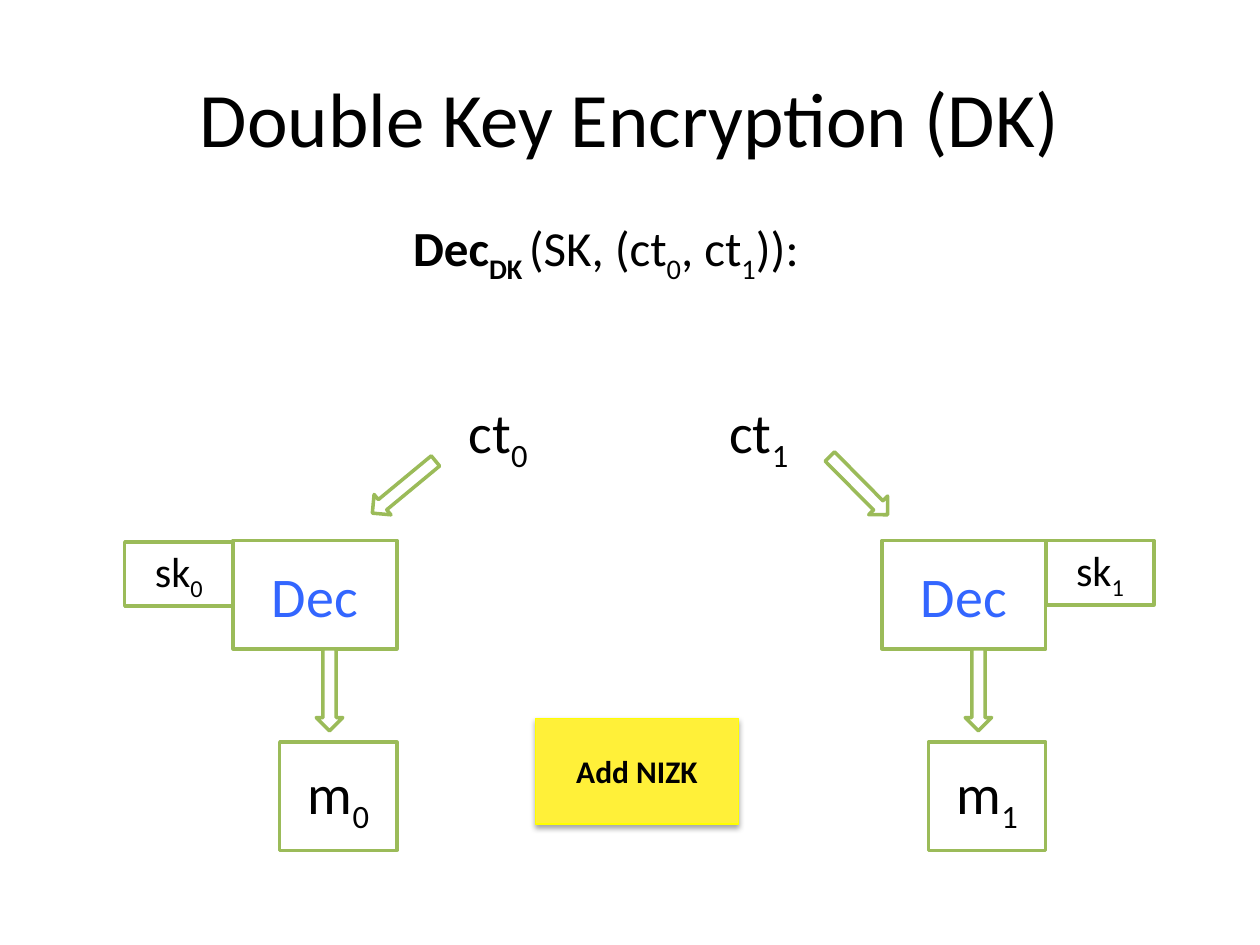
"""Build the Double Key Encryption decryption slide."""
import lxml.etree
import pptx
import pptx.dml.color
import pptx.enum.shapes
import pptx.enum.text
import pptx.oxml
import pptx.oxml.ns
import pptx.util

Inches = pptx.util.Inches
Pt = pptx.util.Pt
RGBColor = pptx.dml.color.RGBColor
MSO_SHAPE = pptx.enum.shapes.MSO_SHAPE
PP_ALIGN = pptx.enum.text.PP_ALIGN
MSO_ANCHOR = pptx.enum.text.MSO_ANCHOR

BLACK = RGBColor(0x00, 0x00, 0x00)
WHITE = RGBColor(0xFF, 0xFF, 0xFF)
GREEN = RGBColor(0x9B, 0xBB, 0x59)
BLUE = RGBColor(0x33, 0x66, 0xFF)
GOLD = RGBColor(0xFF, 0xF0, 0x39)
YELLOW = RGBColor(0xFF, 0xFF, 0x00)


def write(sp, runs, size, color=BLACK, centered=True):
    """Fill a shape with (text, is_subscript, is_bold) runs."""
    tf = sp.text_frame
    tf.word_wrap = centered
    if centered:
        tf.vertical_anchor = MSO_ANCHOR.MIDDLE
    else:
        tf.auto_size = pptx.enum.text.MSO_AUTO_SIZE.SHAPE_TO_FIT_TEXT
    p = tf.paragraphs[0]
    p.alignment = PP_ALIGN.CENTER if centered else PP_ALIGN.LEFT
    p.font.name = "Calibri"
    p.font.size = Pt(size)
    p.font.color.rgb = color
    for text, subscript, bold in runs:
        r = p.add_run()
        r.text = text
        r.font.bold = bold
        if subscript:
            r.font._element.set("baseline", "-25000")


def add_shape(kind, box, fill=WHITE, line=GREEN, width=2, rotation=0):
    """Add a filled, outlined shape without a shadow."""
    sp = s.shapes.add_shape(kind, *map(Inches, box))
    sp.shadow.inherit = False
    sp.fill.solid()
    sp.fill.fore_color.rgb = fill
    sp.line.color.rgb = line
    sp.line.width = Pt(width)
    sp.rotation = rotation
    return sp


prs = pptx.Presentation()
prs.slide_width = Inches(10)
prs.slide_height = Inches(7.5)
s = prs.slides.add_slide(prs.slide_layouts[6])

title = s.shapes.add_textbox(Inches(0.5), Inches(0.3), Inches(9), Inches(1.25))
write(title, [("Double Key Encryption (DK)", False, False)], 44)

heading = s.shapes.add_textbox(Inches(3.18), Inches(1.68), Inches(3.38), Inches(0.57))
write(heading, [
    ("Dec", False, True), ("DK ", True, True), ("(SK, (ct", False, False),
    ("0", True, False), (", ct", False, False), ("1", True, False),
    (")):", False, False),
], 28, centered=False)

note = add_shape(MSO_SHAPE.RECTANGLE, (4.25, 5.7, 1.61, 0.84), GOLD, YELLOW, 0.75)
write(note, [("Add NIZK", False, True)], 18)
effects = note._element.spPr.find(pptx.oxml.ns.qn("a:effectLst"))
shadow = lxml.etree.SubElement(
    effects, pptx.oxml.ns.qn("a:outerShdw"), blurRad=str(Pt(3.1)),
    dist=str(Pt(1.8)), dir="5400000", rotWithShape="0")
shade = lxml.etree.SubElement(shadow, pptx.oxml.ns.qn("a:srgbClr"), val="000000")
lxml.etree.SubElement(shade, pptx.oxml.ns.qn("a:alpha"), val="35000")

branches = [
    ("0", 1.85, 0.99, 4.3, 3.62, (2.88, 3.76), 140.4),
    ("1", 7, 8.3, 4.29, 5.69, (6.49, 3.75), 45.3),
]
for index, dec_x, key_x, key_y, ct_x, arrow_at, angle in branches:
    dec = add_shape(MSO_SHAPE.RECTANGLE, (dec_x, 4.29, 1.3, 0.86))
    write(dec, [("Dec", False, False)], 32, BLUE)

    add_shape(MSO_SHAPE.RIGHT_ARROW, (*arrow_at, 0.65, 0.21), rotation=angle)
    add_shape(MSO_SHAPE.RIGHT_ARROW, (dec_x + 0.44, 5.37, 0.65, 0.21), rotation=90)

    ct = s.shapes.add_textbox(Inches(ct_x), Inches(3.11), Inches(0.69), Inches(0.64))
    write(ct, [("ct", False, False), (index, True, False)], 32, centered=False)

    key = add_shape(MSO_SHAPE.RECTANGLE, (key_x, key_y, 0.86, 0.51))
    write(key, [("sk", False, False), (index, True, False)], 24)

    message = add_shape(MSO_SHAPE.RECTANGLE, (dec_x + 0.37, 5.89, 0.93, 0.86))
    write(message, [("m", False, False), (index, True, False)], 32)

prs.save("out.pptx")
